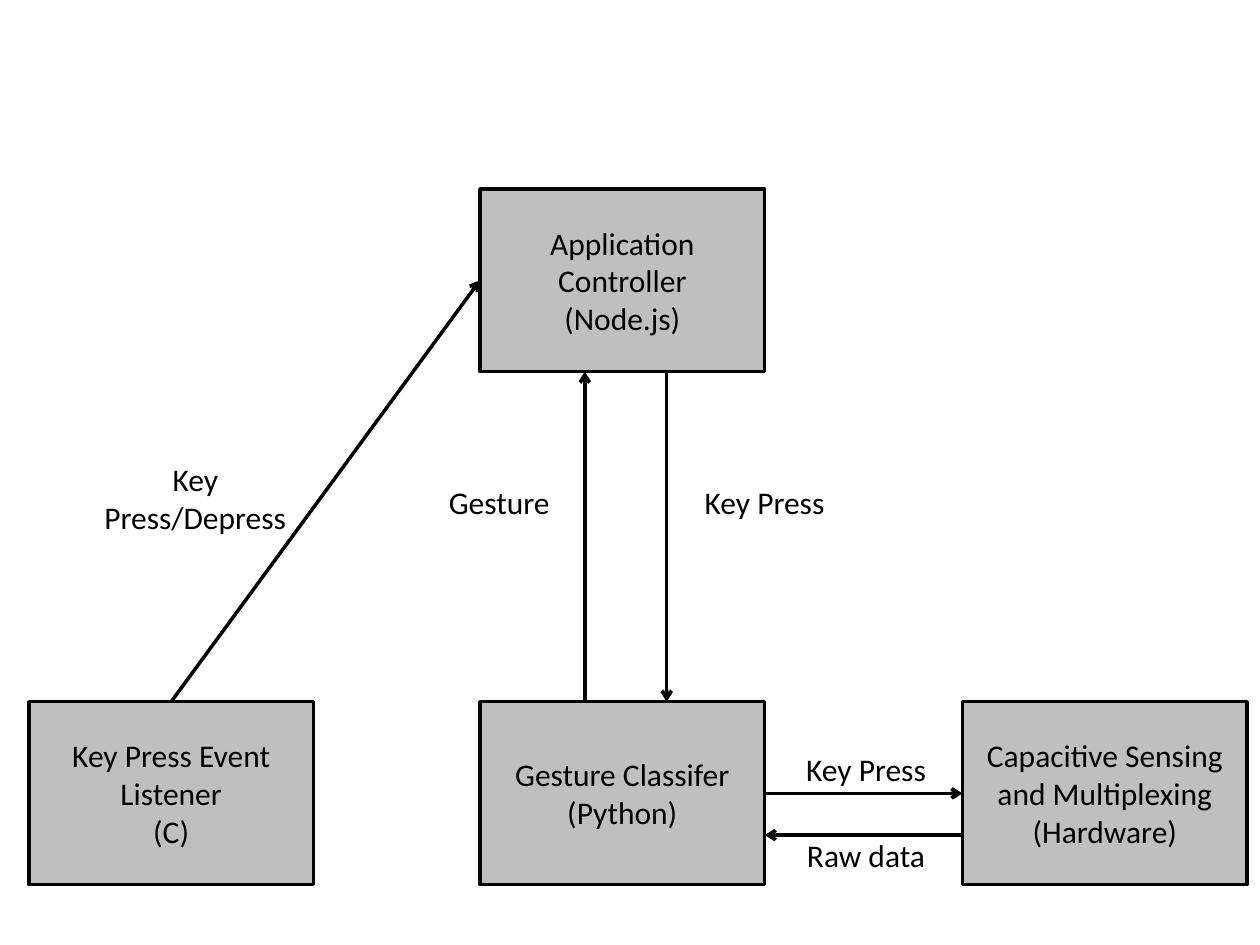
from dataclasses import dataclass

from pptx import Presentation
from pptx.dml.color import RGBColor as RGB
from pptx.enum.shapes import MSO_CONNECTOR as Conn, MSO_SHAPE as Kind
from pptx.enum.text import MSO_ANCHOR as Anchor, MSO_AUTO_SIZE as Fit, PP_ALIGN as Align
from pptx.oxml.ns import qn
from pptx.util import Pt
from lxml.etree import SubElement as Sub


@dataclass(frozen=True)
class Theme:
    ink: RGB = RGB(0, 0, 0)
    fill: RGB = RGB(0xBF, 0xBF, 0xBF)
    font: str = "Calibri"
    size: int = 18
    line: int = 2


def apply(item, form):
    for name, value in form.items():
        setattr(item, name, value)


class Sketch:
    def __init__(self, slide, theme):
        self.slide, self.theme = slide, theme

    def letter(self, shape, lines, form):
        """Put centred lines into a shape, one paragraph each."""
        frame, theme = shape.text_frame, self.theme
        apply(frame, {"word_wrap": True, **form})
        frame.text = "\n".join(lines)
        for para in frame.paragraphs:
            para.alignment = Align.CENTER
            font = para.runs[0].font
            apply(font, {"name": theme.font, "size": Pt(theme.size)})
            font.color.rgb = theme.ink

    def stroke(self, line):
        line.color.rgb = self.theme.ink
        line.width = Pt(self.theme.line)

    def box(self, x, y, wide, high, *lines):
        shape = self.slide.shapes.add_shape(
            Kind.RECTANGLE, Pt(x), Pt(y), Pt(wide), Pt(high))
        shape.shadow.inherit = False
        shape.fill.solid()
        shape.fill.fore_color.rgb = self.theme.fill
        self.stroke(shape.line)
        self.letter(shape, lines, {"vertical_anchor": Anchor.MIDDLE})

    def label(self, x, y, wide, high, text):
        shape = self.slide.shapes.add_textbox(Pt(x), Pt(y), Pt(wide), Pt(high))
        self.letter(shape, [text], {"auto_size": Fit.SHAPE_TO_FIT_TEXT})

    def arrow(self, *ends):
        link = self.slide.shapes.add_connector(Conn.STRAIGHT, *map(Pt, ends))
        self.stroke(link.line)
        props = link._element.spPr
        Sub(props.find(qn("a:ln")), qn("a:tailEnd"), type="arrow")
        Sub(props, qn("a:effectLst"))


def main():
    deck = Presentation()
    apply(deck, {"slide_width": Pt(720), "slide_height": Pt(540)})
    art = Sketch(deck.slides.add_slide(deck.slide_layouts[6]), Theme())

    # Grid: three columns, two rows, one box size
    wide, high = 162.7, 104.4
    left, mid, right = 16.5, 274.3, 550
    top, low = 108, 401
    edge, base = mid + wide, top + high

    # Arrows run from sender to receiver
    for ends in (
        (edge, 453.4, right, 453.4),
        (381, base, 381, low),
        (left + wide / 2, low, mid, top + high / 2),
        (right, 477.2, edge, 477.2),
        (334.2, low, 334.2, base),
    ):
        art.arrow(*ends)

    # Parts of the system
    for x, y, *lines in (
        (mid, top, "Application Controller", "(Node.js)"),
        (right, low, "Capacitive Sensing and Multiplexing", "(Hardware)"),
        (left, low, "Key Press Event Listener", "(C)"),
        (mid, low, "Gesture Classifer", "(Python)"),
    ):
        art.box(x, y, wide, high, *lines)

    # Messages beside the arrows
    for x, y, span, tall, text in (
        (50.4, 259.4, 122.4, 51, "Key Press/Depress"),
        (391.2, 272.4, 91.4, 29, "Key Press"),
        (449.2, 424.8, 91.4, 29, "Key Press"),
        (449.2, 474, 91.4, 29, "Raw data"),
        (246.8, 272.4, 77, 29, "Gesture"),
    ):
        art.label(x, y, span, tall, text)

    deck.save("out.pptx")


if __name__ == "__main__":
    main()
